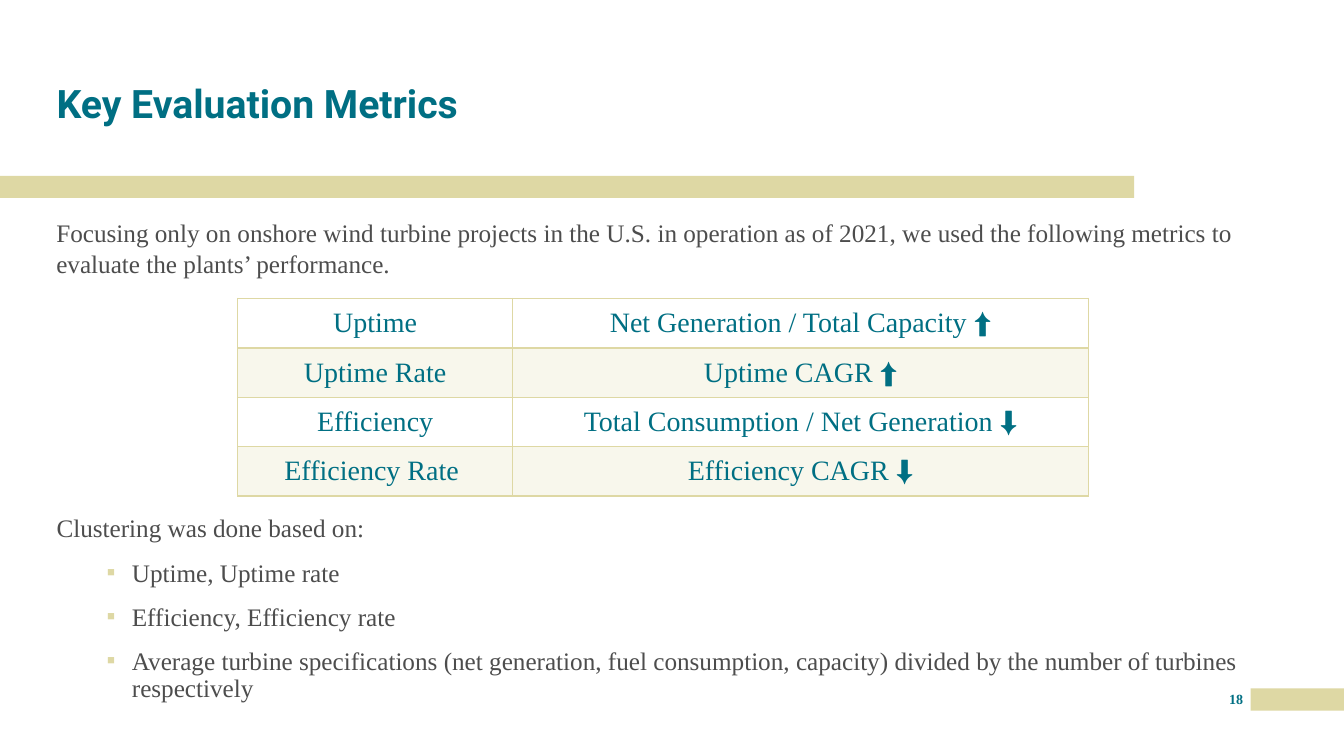
from dataclasses import dataclass

from lxml.etree import SubElement
from pptx import Presentation
from pptx.dml.color import RGBColor
from pptx.enum.shapes import MSO_SHAPE
from pptx.enum.text import MSO_ANCHOR, MSO_AUTO_SIZE, PP_ALIGN
from pptx.oxml import parse_xml
from pptx.oxml.ns import nsdecls, qn
from pptx.util import Cm, Pt

TEAL = RGBColor(0x00, 0x6F, 0x83)
SAND = RGBColor(0xDE, 0xD8, 0xA4)
GREY = RGBColor(0x4D, 0x4D, 0x4D)
SERIF = "Times New Roman"
HEADING = "Roboto"


@dataclass(frozen=True)
class Box:
    left: float
    top: float
    width: float
    height: float

    def lengths(self) -> tuple:
        return Cm(self.left), Cm(self.top), Cm(self.width), Cm(self.height)


@dataclass(frozen=True)
class Metric:
    name: str
    formula: str


BARS = [Box(31.52, 17.35, 2.35, 0.56), Box(0, 4.43, 28.58, 0.56)]
METRICS = [
    Metric("Uptime", "Net Generation / Total Capacity ⬆"),
    Metric("Uptime Rate", "Uptime CAGR ⬆"),
    Metric("Efficiency", "Total Consumption / Net Generation ⬇"),
    Metric("Efficiency Rate ", "Efficiency CAGR ⬇"),
]
CLUSTERING_BASES = [
    "Uptime, Uptime rate",
    "Efficiency, Efficiency rate",
    "Average turbine specifications (net generation, fuel consumption, capacity) "
    "divided by the number of turbines respectively",
]


def add_run(paragraph, text: str, size: float, color: RGBColor,
            font: str = SERIF, bold: bool = False) -> None:
    run = paragraph.add_run()
    run.text = text
    run.font.size = Pt(size)
    run.font.name = font
    run.font.bold = bold
    run.font.color.rgb = color


def place(shape, box: Box) -> None:
    shape.left, shape.top, shape.width, shape.height = box.lengths()


def add_bar(slide, box: Box) -> None:
    bar = slide.shapes.add_shape(MSO_SHAPE.RECTANGLE, *box.lengths())
    bar.shadow.inherit = False
    bar.fill.solid()
    bar.fill.fore_color.rgb = SAND
    bar.line.fill.background()


def set_bullet(paragraph, bulleted: bool) -> None:
    properties = paragraph._p.get_or_add_pPr()
    properties.set("marL", str(Cm(1.9) if bulleted else 0))
    properties.set("indent", str(Cm(-0.64) if bulleted else 0))
    if not bulleted:
        SubElement(properties, qn("a:buNone"))
        return
    bullet_color = SubElement(properties, qn("a:buClr"))
    SubElement(bullet_color, qn("a:srgbClr"), val=str(SAND))
    SubElement(properties, qn("a:buFont"), typeface=SERIF)
    SubElement(properties, qn("a:buChar"), char="▪")


def set_borders(cell, top: float, bottom: float) -> None:
    widths = {"lnL": 1, "lnR": 1, "lnT": top, "lnB": bottom}
    properties = cell._tc.get_or_add_tcPr()
    for position, (tag, width) in enumerate(widths.items()):
        properties.insert(position, parse_xml(
            f'<a:{tag} {nsdecls("a")} w="{Pt(width)}"><a:solidFill>'
            f'<a:srgbClr val="{SAND}"/></a:solidFill></a:{tag}>'))


def fill_cell(cell, banded: bool) -> None:
    if not banded:
        cell.fill.background()
        return
    cell.fill.solid()
    cell.fill.fore_color.rgb = SAND
    tint = cell._tc.tcPr.find(".//" + qn("a:srgbClr"))
    SubElement(tint, qn("a:alpha"), val="20000")


def add_metrics_table(slide, metrics: list[Metric], box: Box) -> None:
    table = slide.shapes.add_table(len(metrics), 2, *box.lengths()).table
    table.first_row = table.horz_banding = False
    table.columns[0].width = Cm(6.93)
    table.columns[1].width = Cm(box.width - 6.93)
    for row, metric in enumerate(metrics):
        for column, text in enumerate((metric.name, metric.formula)):
            cell = table.cell(row, column)
            cell.vertical_anchor = MSO_ANCHOR.MIDDLE
            paragraph = cell.text_frame.paragraphs[0]
            paragraph.alignment = PP_ALIGN.CENTER
            add_run(paragraph, text, 20, TEAL)
            fill_cell(cell, banded=row % 2 == 1)
            set_borders(cell, top=2 if row == 1 else 1, bottom=2 if row == 0 else 1)


def add_title(slide) -> None:
    title = slide.shapes.title
    place(title, Box(1.17, 1.02, 31.55, 3.3))
    frame = title.text_frame
    frame.auto_size = MSO_AUTO_SIZE.NONE
    frame.vertical_anchor = MSO_ANCHOR.MIDDLE
    heading = frame.paragraphs[0]
    heading.alignment = PP_ALIGN.LEFT
    heading.line_spacing = 0.9
    add_run(heading, "Key Evaluation Metrics", 28, TEAL, HEADING, bold=True)


def add_clustering(slide) -> None:
    clustering = slide.placeholders[1]
    place(clustering, Box(1.17, 12.88, 30.38, 5.16))
    frame = clustering.text_frame
    frame.auto_size = MSO_AUTO_SIZE.NONE
    for index, text in enumerate(["Clustering was done based on:", *CLUSTERING_BASES]):
        paragraph = frame.add_paragraph() if index else frame.paragraphs[0]
        paragraph.level = 1 if index else 0
        set_bullet(paragraph, bulleted=index > 0)
        paragraph.line_spacing = 0.9
        paragraph.space_before = Pt(6 if index else 0)
        paragraph.space_after = Pt(6)
        add_run(paragraph, text, 18, GREY)


def add_intro(slide) -> None:
    frame = slide.shapes.add_textbox(*Box(1.17, 5.36, 30.51, 1.8).lengths()).text_frame
    frame.word_wrap = True
    add_run(frame.paragraphs[0],
            "Focusing only on onshore wind turbine projects in the U.S. in operation "
            "as of 2021, we used the following metrics to evaluate the plants’ performance.",
            18, GREY)


def add_page_number(slide) -> None:
    frame = slide.shapes.add_textbox(*Box(30.78, 17.4, 0.74, 0.64).lengths()).text_frame
    frame.margin_left = frame.margin_right = frame.margin_top = frame.margin_bottom = 0
    frame.word_wrap = True
    number = frame.paragraphs[0]
    number.alignment = PP_ALIGN.CENTER
    add_run(number, "18", 10, TEAL, bold=True)


def main() -> None:
    deck = Presentation()
    deck.slide_width, deck.slide_height = Cm(33.87), Cm(19.05)
    slide = deck.slides.add_slide(deck.slide_layouts[1])

    # Frame of the slide
    for bar in BARS:
        add_bar(slide, bar)
    add_page_number(slide)
    add_title(slide)

    # Metrics and clustering
    add_intro(slide)
    add_metrics_table(slide, METRICS, Box(5.99, 7.52, 21.44, 4.98))
    add_clustering(slide)

    deck.save("out.pptx")


if __name__ == "__main__":
    main()
